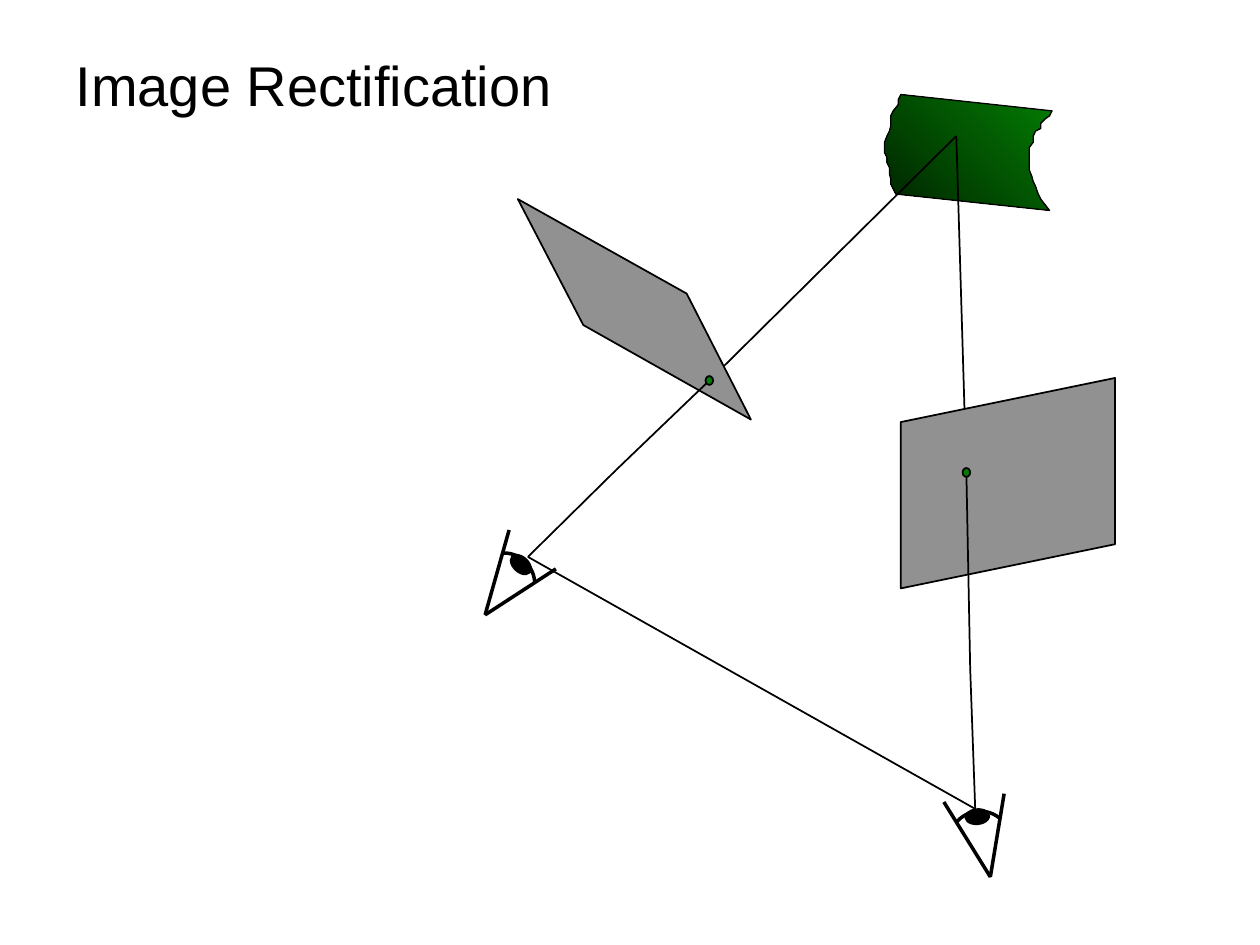
from dataclasses import dataclass
from math import cos, radians, sin
from typing import NamedTuple

from lxml.etree import SubElement
from pptx import Presentation
from pptx.dml.color import RGBColor
from pptx.enum.shapes import MSO_CONNECTOR, MSO_SHAPE
from pptx.enum.text import MSO_ANCHOR, PP_ALIGN
from pptx.oxml.ns import qn
from pptx.util import Inches, Pt


@dataclass(frozen=True)
class Theme:
    ink: RGBColor = RGBColor(0, 0, 0)
    plane: RGBColor = RGBColor(0x91, 0x91, 0x91)
    green: RGBColor = RGBColor(0x03, 0x7C, 0x03)
    dark: RGBColor = RGBColor(0x00, 0x24, 0x00)
    font: str = "Arial"
    title: float = 32
    hair: float = 0.75
    thin: float = 1
    bold: float = 2


class Spot(NamedTuple):
    """A place on the grid, in columns and rows."""
    x: float
    y: float


class View(NamedTuple):
    """One camera: its plane, the projected dot, the ray to the eye."""
    plane: list[Spot]
    dot: Spot
    bend: Spot
    lens: Spot


class Eye(NamedTuple):
    """The corner of an eye and its gaze, in degrees clockwise from up."""
    apex: Spot
    gaze: float


THEME = Theme()
COLS, ROWS = 10, 7.5
POINT = Spot(7.59, 1.08)
LEFT = View(
    [Spot(4.63, 2.58), Spot(5.96, 3.33), Spot(5.45, 2.33), Spot(4.11, 1.58)],
    Spot(5.63, 3.02), Spot(4.89, 3.73), Spot(4.19, 4.42))
RIGHT = View(
    [Spot(7.15, 3.35), Spot(7.15, 4.67), Spot(8.85, 4.32), Spot(8.85, 3)],
    Spot(7.67, 3.75), Spot(7.7, 5.31), Spot(7.74, 6.42))
EYES = [Eye(Spot(7.86, 6.96), -11.2), Eye(Spot(3.85, 4.88), 36.4)]
SPREAD = 20.6  # half the angle between the lids

# The torn surface: both edges run from top to bottom.
TORN_LEFT = [
    (7.15, 0.75), (7.13, 0.79), (7.13, 0.83), (7.09, 0.88), (7.07, 0.92),
    (7.07, 1), (7.06, 1.04), (7.04, 1.08), (7.02, 1.13), (7.02, 1.21),
    (7.04, 1.25), (7.04, 1.29), (7.06, 1.33), (7.06, 1.38), (7.07, 1.42),
    (7.07, 1.46), (7.09, 1.5), (7.11, 1.54)]
TORN_RIGHT = [
    (8.35, 0.88), (8.33, 0.92), (8.3, 0.94), (8.26, 0.98), (8.26, 1.02),
    (8.22, 1.04), (8.2, 1.08), (8.2, 1.13), (8.17, 1.17), (8.17, 1.35),
    (8.19, 1.4), (8.2, 1.44), (8.22, 1.48), (8.24, 1.54), (8.26, 1.58),
    (8.33, 1.67)]

deck = Presentation()
deck.slide_width, deck.slide_height = Inches(10), Inches(7.5)
slide = deck.slides.add_slide(deck.slide_layouts[5])
shapes = slide.shapes


def col(n: float) -> int:
    return round(deck.slide_width * n / COLS)


def row(n: float) -> int:
    return round(deck.slide_height * n / ROWS)


def style(shape, width: float, fill: RGBColor | None = None) -> None:
    shape.shadow.inherit = False
    shape.line.color.rgb = THEME.ink
    shape.line.width = Pt(width)
    if fill is None:
        shape.fill.background()
    else:
        shape.fill.solid()
        shape.fill.fore_color.rgb = fill


def trace(spots: list, width: float, fill: RGBColor | None = None,
          close: bool = True):
    """Draw a freeform through the spots."""
    first, *rest = [(col(x), row(y)) for x, y in spots]
    pen = shapes.build_freeform(*first)
    pen.add_line_segments(rest, close=close)
    shape = pen.convert_to_shape()
    style(shape, width, fill)
    return shape


def join(start: Spot, end: Spot, width: float = THEME.thin) -> None:
    line = shapes.add_connector(
        MSO_CONNECTOR.STRAIGHT,
        col(start.x), row(start.y), col(end.x), row(end.y))
    line.line.color.rgb = THEME.ink
    line.line.width = Pt(width)
    SubElement(line._element.spPr, qn("a:effectLst"))


def oval(mid: Spot, wide: float, high: float, fill: RGBColor,
         turn: float = 0) -> None:
    shape = shapes.add_shape(
        MSO_SHAPE.OVAL, col(mid.x - wide / 2), row(mid.y - high / 2),
        col(wide), row(high))
    shape.rotation = turn % 360
    style(shape, THEME.thin, fill)


def reach(eye: Eye, turn: float, size: float) -> Spot:
    """The spot at a distance from the apex, turned away from the gaze."""
    angle = radians(eye.gaze + turn)
    return Spot(eye.apex.x + size * sin(angle), eye.apex.y - size * cos(angle))


def draw_eye(eye: Eye) -> None:
    steps = [n / 12 for n in range(-12, 13)]
    curve = [reach(eye, SPREAD * t, 0.53 - 0.02 * t - 0.04 * t * t)
             for t in steps]
    trace([eye.apex, *curve], THEME.hair)
    trace(curve, THEME.bold, close=False)
    join(reach(eye, -SPREAD, 0.7), eye.apex, THEME.bold)
    oval(reach(eye, -1, 0.49), 0.12, 0.19, THEME.ink, eye.gaze - 84)
    join(eye.apex, reach(eye, SPREAD, 0.67), THEME.bold)


def draw_title(text: str) -> None:
    title = shapes.title
    title.left, title.top = col(0.5), row(0.17)
    title.width, title.height = col(9), row(1)
    frame = title.text_frame
    frame.text = text
    frame.vertical_anchor = MSO_ANCHOR.MIDDLE
    line = frame.paragraphs[0]
    line.alignment = PP_ALIGN.LEFT
    font = line.runs[0].font
    font.name, font.size = THEME.font, Pt(THEME.title)
    font.color.rgb = THEME.ink


def draw_scene() -> None:
    torn = trace(TORN_LEFT + TORN_RIGHT[::-1], THEME.hair)
    torn.fill.gradient()
    torn.fill.gradient_angle = 225
    for stop, tone, place in zip(torn.fill.gradient_stops,
                                 (THEME.green, THEME.dark), (0, 1)):
        stop.color.rgb, stop.position = tone, place
    join(LEFT.lens, RIGHT.lens)
    for view in (LEFT, RIGHT):
        join(view.dot, POINT)
        trace(view.plane, THEME.thin, THEME.plane)
        join(view.bend, view.dot)
        join(view.lens, view.bend)
        oval(view.dot, 0.06, 0.07, THEME.green)
    for eye in EYES:
        draw_eye(eye)


draw_title("Image Rectification")
draw_scene()
deck.save("out.pptx")
